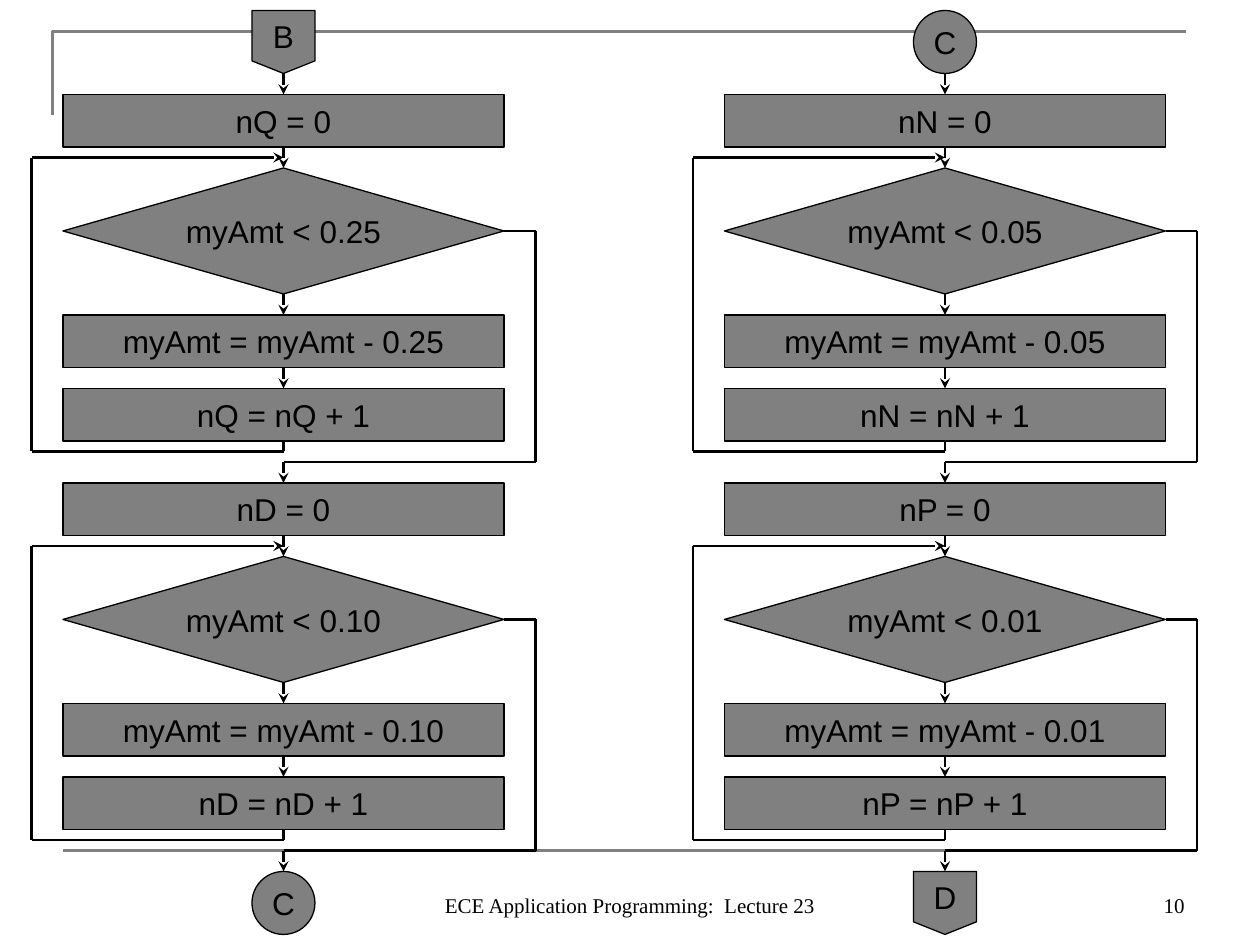
from lxml.etree import SubElement
from pptx import Presentation
from pptx.dml.color import RGBColor
from pptx.enum.shapes import MSO_CONNECTOR, MSO_SHAPE
from pptx.enum.text import MSO_ANCHOR, PP_ALIGN
from pptx.oxml.ns import qn
from pptx.util import Inches, Pt

GRAY = "808080"
BLACK = "000000"
STAGE_PITCH = 37
BOX_HEIGHT = 5
TEST_HEIGHT = 12
TERMINAL_SIZE = 6


def twelfths(count):
    return Inches(count / 12)


def paint(target, color):
    target.solid()
    target.fore_color.rgb = RGBColor.from_string(color)


def write(frame, text, size=18, font="Arial", color=BLACK,
          align=PP_ALIGN.CENTER, anchor=MSO_ANCHOR.MIDDLE, wrap=False):
    frame.word_wrap = wrap
    frame.vertical_anchor = anchor
    paragraph = frame.paragraphs[0]
    paragraph.alignment = align
    run = paragraph.add_run()
    run.text = text
    run.font.size = Pt(size)
    run.font.name = font
    run.font.color.rgb = RGBColor.from_string(color)


def add_node(slide, kind, center, top, width, height, text):
    node = slide.shapes.add_shape(
        kind, twelfths(center - width / 2), twelfths(top),
        twelfths(width), twelfths(height))
    node.shadow.inherit = False
    paint(node.fill, GRAY)
    paint(node.line.fill, BLACK)
    node.line.width = Pt(0.75)
    write(node.text_frame, text)
    return node


def add_process(slide, center, top, text):
    return add_node(slide, MSO_SHAPE.FLOWCHART_PROCESS, center, top, 42, BOX_HEIGHT, text)


def add_terminal(slide, kind, center, top, text):
    return add_node(slide, kind, center, top, TERMINAL_SIZE, TERMINAL_SIZE, text)


def add_line(slide, start, end, source=None, target=None,
             arrow=False, color=BLACK, width=1.25):
    line = slide.shapes.add_connector(
        MSO_CONNECTOR.STRAIGHT, *map(twelfths, start + end))
    paint(line.line.fill, color)
    line.line.width = Pt(width)
    if source:
        line.begin_connect(*source)
    if target:
        line.end_connect(*target)
    if arrow:
        SubElement(line.line._get_or_add_ln(), qn("a:tailEnd"), type="stealth")
    SubElement(line._element.spPr, qn("a:effectLst"))


def add_route(slide, points, source, target=None, arrow=False):
    last = len(points) - 2
    for index, (start, end) in enumerate(zip(points, points[1:])):
        add_line(slide, start, end,
                 source=source if index == 0 else None,
                 target=target if index == last else None,
                 arrow=arrow and index == last)


def add_stage(slide, center, top, coin, amount, following):
    test_top, subtract_top, count_top = top + 7, top + 21, top + 28
    loop_top, loop_bottom, exit_level = top + 6, top + 34, top + 35
    left, right = center - 24, center + 24
    test_middle = test_top + TEST_HEIGHT / 2

    start = add_process(slide, center, top, f"{coin} = 0")
    test = add_node(slide, MSO_SHAPE.FLOWCHART_DECISION, center, test_top,
                    42, TEST_HEIGHT, f"myAmt < {amount}")
    subtract = add_process(slide, center, subtract_top, f"myAmt = myAmt - {amount}")
    count = add_process(slide, center, count_top, f"{coin} = {coin} + 1")

    steps = [(start, top + BOX_HEIGHT, test, test_top),
             (test, test_top + TEST_HEIGHT, subtract, subtract_top),
             (subtract, subtract_top + BOX_HEIGHT, count, count_top)]
    for source, bottom, target, target_top in steps:
        add_line(slide, (center, bottom), (center, target_top),
                 source=(source, 2), target=(target, 0), arrow=True)

    add_route(slide, [(center, count_top + BOX_HEIGHT), (center, loop_bottom),
                      (left, loop_bottom), (left, loop_top), (center, loop_top)],
              source=(count, 2), arrow=True)
    add_route(slide, [(center + 21, test_middle), (right, test_middle),
                      (right, exit_level), (center, exit_level),
                      (center, top + STAGE_PITCH)],
              source=(test, 3), target=(following, 0), arrow=True)
    return start


def add_column(slide, center, entry, stages, leave):
    first_top = 9
    following = add_terminal(slide, leave[0], center,
                             first_top + STAGE_PITCH * len(stages), leave[1])
    for index in reversed(range(len(stages))):
        following = add_stage(slide, center, first_top + STAGE_PITCH * index,
                              *stages[index], following)
    entrance = add_terminal(slide, entry[0], center, 1, entry[1])
    off_page = entry[0] == MSO_SHAPE.FLOWCHART_OFFPAGE_CONNECTOR
    add_line(slide, (center, 1 + TERMINAL_SIZE), (center, first_top),
             source=(entrance, 2) if off_page else None,
             target=(following, 0), arrow=True)


def add_frame(slide):
    builder = slide.shapes.build_freeform(twelfths(5), twelfths(11))
    builder.add_line_segments(
        [(twelfths(5), twelfths(3)), (twelfths(113), twelfths(3))], close=False)
    corner = builder.convert_to_shape()
    corner.shadow.inherit = False
    corner.fill.background()
    paint(corner.line.fill, GRAY)
    corner.line.width = Pt(1.5)
    add_line(slide, (6, 81), (114, 81), color=GRAY, width=1.5)


def add_footer(slide, left, width, text, align):
    footer = slide.shapes.add_textbox(
        twelfths(left), twelfths(82), twelfths(width), twelfths(6))
    write(footer.text_frame, text, size=12, font="Times New Roman",
          align=align, anchor=MSO_ANCHOR.BOTTOM, wrap=True)


def main():
    deck = Presentation()
    deck.slide_width, deck.slide_height = Inches(10), Inches(7.5)
    slide = deck.slides.add_slide(deck.slide_layouts[6])
    circle = MSO_SHAPE.FLOWCHART_CONNECTOR
    off_page = MSO_SHAPE.FLOWCHART_OFFPAGE_CONNECTOR

    add_frame(slide)
    add_column(slide, 27, (off_page, "B"),
               [("nQ", "0.25"), ("nD", "0.10")], (circle, "C"))
    add_column(slide, 90, (circle, "C"),
               [("nN", "0.05"), ("nP", "0.01")], (off_page, "D"))
    add_footer(slide, 86, 28, "10", PP_ALIGN.RIGHT)
    add_footer(slide, 41, 38, "ECE Application Programming:  Lecture 23", PP_ALIGN.CENTER)
    deck.save("out.pptx")


if __name__ == "__main__":
    main()
